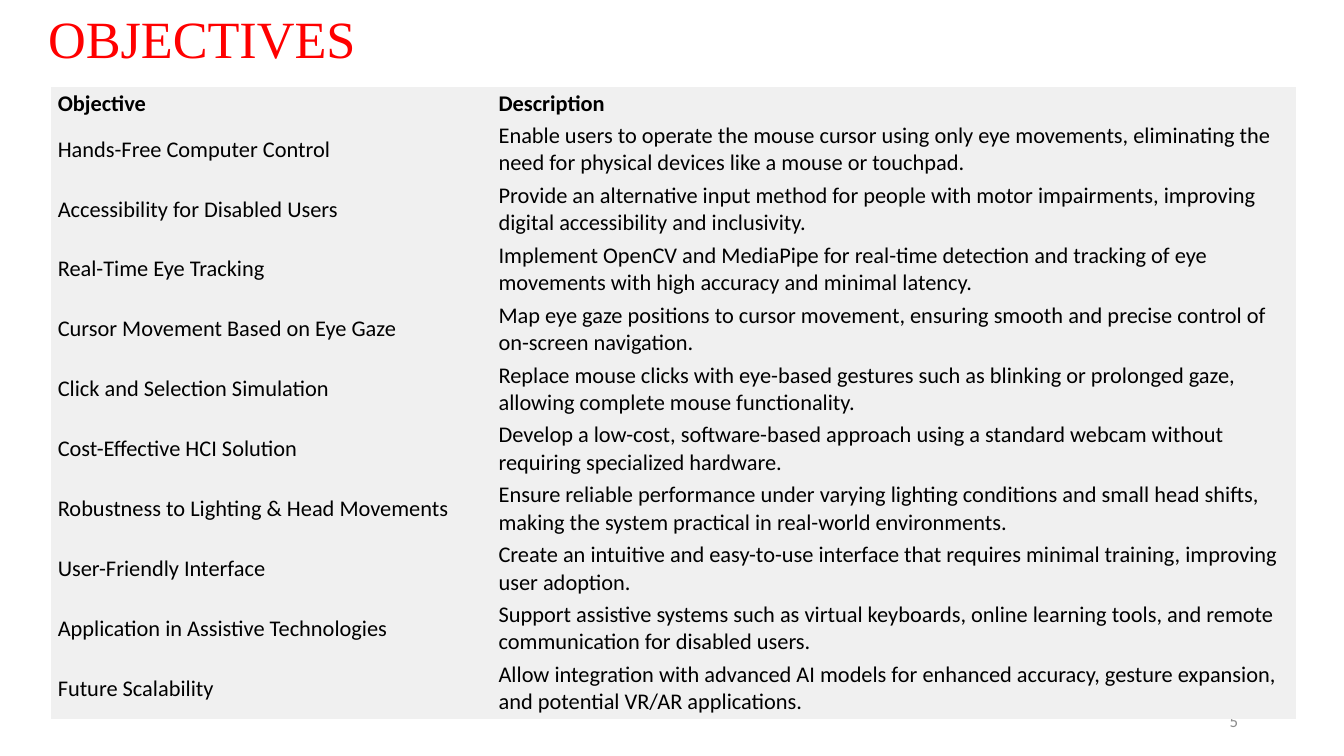
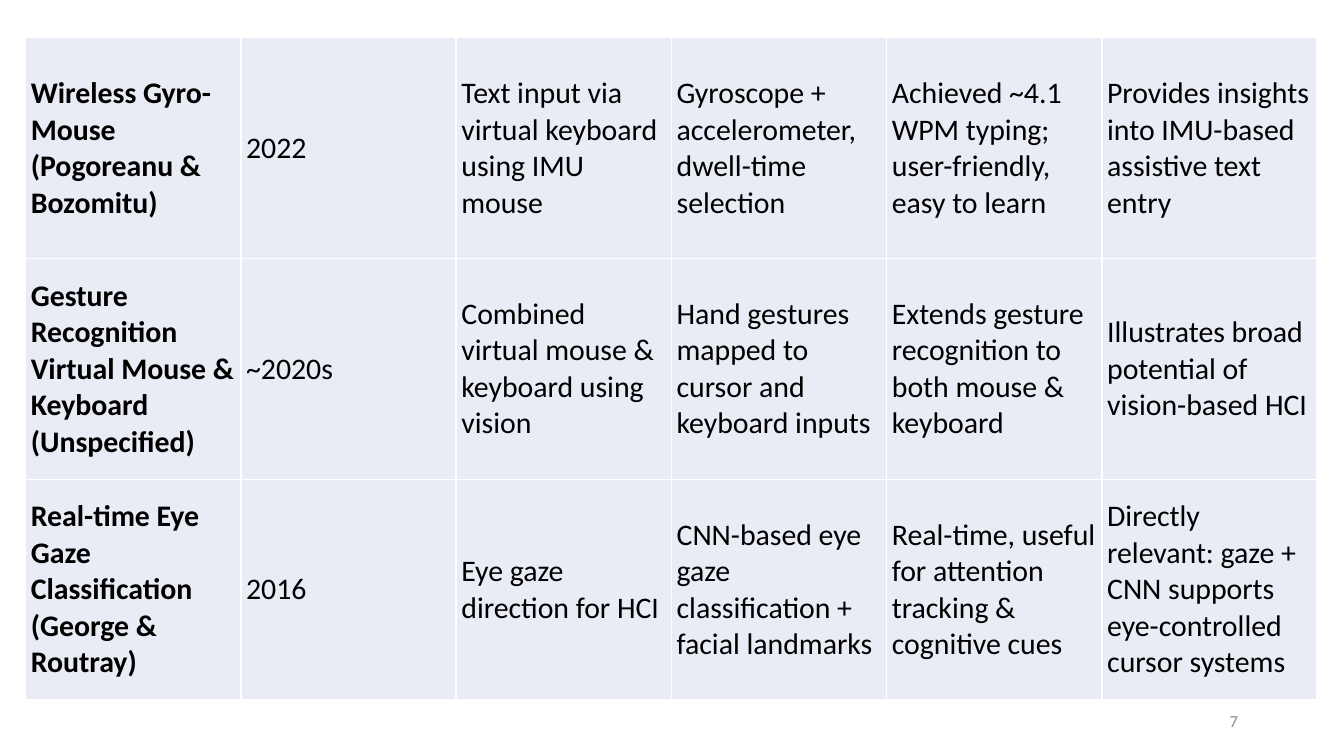
from dataclasses import dataclass

from lxml import etree
from pptx import Presentation
from pptx.dml.color import RGBColor
from pptx.enum import text
from pptx.util import Inches, Pt

A_NS = "http://schemas.openxmlformats.org/drawingml/2006/main"


@dataclass(frozen=True)
class Theme:
    body_font: str = "Calibri"
    title_font: str = "Times New Roman"
    ink: str = "000000"
    title: str = "FF0000"
    muted: str = "8C8C8C"
    objectives_fill: str = "F0F0F0"
    survey_fill: str = "E9EBF5"
    rule: str = "FFFFFF"
    title_size: int = 28
    objectives_size: int = 12
    survey_size: int = 16
    number_size: int = 9


THEME = Theme()

OBJECTIVES = [
    ("Objective", "Description"),
    ("Hands-Free Computer Control",
     "Enable users to operate the mouse cursor using only eye movements, eliminating the need "
     "for physical devices like a mouse or touchpad."),
    ("Accessibility for Disabled Users",
     "Provide an alternative input method for people with motor impairments, improving digital "
     "accessibility and inclusivity."),
    ("Real-Time Eye Tracking",
     "Implement OpenCV and MediaPipe for real-time detection and tracking of eye movements with "
     "high accuracy and minimal latency."),
    ("Cursor Movement Based on Eye Gaze",
     "Map eye gaze positions to cursor movement, ensuring smooth and precise control of "
     "on-screen navigation."),
    ("Click and Selection Simulation",
     "Replace mouse clicks with eye-based gestures such as blinking or prolonged gaze, allowing "
     "complete mouse functionality."),
    ("Cost-Effective HCI Solution",
     "Develop a low-cost, software-based approach using a standard webcam without requiring "
     "specialized hardware."),
    ("Robustness to Lighting & Head Movements",
     "Ensure reliable performance under varying lighting conditions and small head shifts, "
     "making the system practical in real-world environments."),
    ("User-Friendly Interface",
     "Create an intuitive and easy-to-use interface that requires minimal training, improving "
     "user adoption."),
    ("Application in Assistive Technologies",
     "Support assistive systems such as virtual keyboards, online learning tools, and remote "
     "communication for disabled users."),
    ("Future Scalability",
     "Allow integration with advanced AI models for enhanced accuracy, gesture expansion, and "
     "potential VR/AR applications."),
]

SURVEY = [
    ("Wireless Gyro-Mouse (Pogoreanu & Bozomitu)", "2022",
     "Text input via virtual keyboard using IMU mouse",
     "Gyroscope + accelerometer, dwell-time selection",
     "Achieved ~4.1 WPM typing; user-friendly, easy to learn",
     "Provides insights into IMU-based assistive text entry"),
    ("Gesture Recognition Virtual Mouse & Keyboard (Unspecified)", "~2020s",
     "Combined virtual mouse & keyboard using vision",
     "Hand gestures mapped to cursor and keyboard inputs",
     "Extends gesture recognition to both mouse & keyboard",
     "Illustrates broad potential of vision-based HCI"),
    ("Real-time Eye Gaze Classification (George & Routray)", "2016",
     "Eye gaze direction for HCI",
     "CNN-based eye gaze classification + facial landmarks",
     "Real-time, useful for attention tracking & cognitive cues",
     "Directly relevant: gaze + CNN supports eye-controlled cursor systems"),
]


def style(p, font, size, color, bold=False):
    p.font.name = font
    p.font.size = Pt(size)
    p.font.color.rgb = RGBColor.from_string(color)
    p.font.bold = bold


def add_label(s, box, content, font, size, color, align=text.PP_ALIGN.LEFT,
              anchor=text.MSO_ANCHOR.TOP):
    tf = s.shapes.add_textbox(*map(Inches, box)).text_frame
    tf.word_wrap = True
    tf.vertical_anchor = anchor
    p = tf.paragraphs[0]
    p.text = content
    p.alignment = align
    style(p, font, size, color)


def add_page_number(s, number):
    add_label(s, (7.06, 5.21, 2.25, 0.3), str(number), THEME.body_font, THEME.number_size,
              THEME.muted, text.PP_ALIGN.RIGHT, text.MSO_ANCHOR.MIDDLE)


def set_borders(cell, color):
    """Draw 1 pt borders in the colour, or none when it is None."""
    tc_pr = cell._tc.get_or_add_tcPr()
    for side in ("lnL", "lnR", "lnT", "lnB"):
        ln = etree.SubElement(tc_pr, f"{{{A_NS}}}{side}", w=str(Pt(1)))
        if color is None:
            etree.SubElement(ln, f"{{{A_NS}}}noFill")
        else:
            fill = etree.SubElement(ln, f"{{{A_NS}}}solidFill")
            etree.SubElement(fill, f"{{{A_NS}}}srgbClr", val=color)


def add_grid(s, box, rows, widths, heights, size, fill, is_bold, margin, border=None):
    """Place a table in the box; is_bold(row, column) picks the bold cells."""
    table = s.shapes.add_table(len(rows), len(widths), *map(Inches, box)).table
    table.first_row = table.horz_banding = False
    for column, width in zip(table.columns, widths):
        column.width = Inches(width)
    for i, (values, height) in enumerate(zip(rows, heights)):
        table.rows[i].height = Inches(height)
        for j, value in enumerate(values):
            cell = table.cell(i, j)
            set_borders(cell, border)
            cell.fill.solid()
            cell.fill.fore_color.rgb = RGBColor.from_string(fill)
            cell.vertical_anchor = text.MSO_ANCHOR.MIDDLE
            cell.margin_left = cell.margin_right = Inches(margin)
            cell.margin_top = cell.margin_bottom = Inches(0.02)
            p = cell.text_frame.paragraphs[0]
            p.text = value
            style(p, THEME.body_font, size, THEME.ink, is_bold(i, j))


def objectives_slide(s, box):
    add_page_number(s, 5)
    add_label(s, (0.26, 0, 5, 0.57), "OBJECTIVES", THEME.title_font, THEME.title_size,
              THEME.title)
    width, height = box[2:]
    name_width, header = 3.28, 0.24
    row = (height - header) / (len(OBJECTIVES) - 1)
    add_grid(s, box, OBJECTIVES, [name_width, width - name_width],
             [header] + [row] * (len(OBJECTIVES) - 1), THEME.objectives_size,
             THEME.objectives_fill, lambda i, j: i == 0, 0.05)


def survey_slide(s, box):
    add_page_number(s, 7)
    width, height = box[2:]
    rows, columns = len(SURVEY), len(SURVEY[0])
    add_grid(s, box, SURVEY, [width / columns] * columns, [height / rows] * rows,
             THEME.survey_size, THEME.survey_fill, lambda i, j: j == 0, 0.04, THEME.rule)


def main():
    prs = Presentation()
    prs.slide_width = Inches(10)
    prs.slide_height = prs.slide_width * 9 // 16
    blank = prs.slide_layouts[6]
    objectives_slide(prs.slides.add_slide(blank), (0.38, 0.65, 9.26, 4.7))
    survey_slide(prs.slides.add_slide(blank), (0.19, 0.28, 9.61, 4.93))
    prs.save("out.pptx")


if __name__ == "__main__":
    main()
